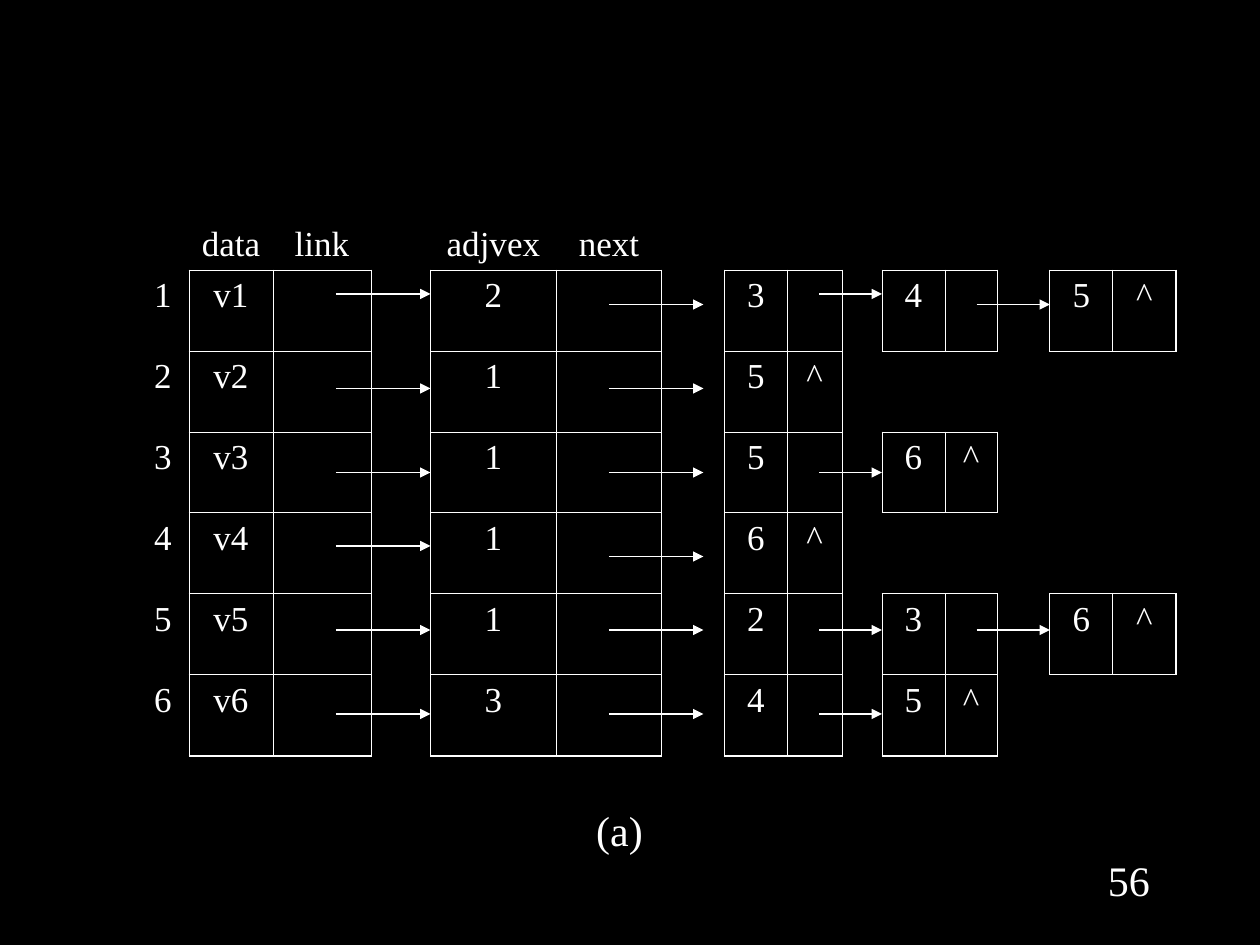
from lxml import etree
from pptx import Presentation
from pptx.dml.color import RGBColor
from pptx.enum.shapes import MSO_CONNECTOR
from pptx.enum.text import MSO_ANCHOR, PP_ALIGN
from pptx.oxml.ns import qn
from pptx.util import Inches, Pt

CENTER, BOTTOM, TOP = PP_ALIGN.CENTER, MSO_ANCHOR.BOTTOM, MSO_ANCHOR.TOP
STRAIGHT = MSO_CONNECTOR.STRAIGHT
THEME = {"back": "000000", "ink": "FFFFFF", "font": "Times New Roman",
         "cell": 20, "label": 24, "thin": 0.45, "thick": 1.08, "arrow": 1}
INK = RGBColor.from_string(THEME["ink"])

prs = Presentation()
prs.slide_width, prs.slide_height = Inches(10), Inches(7.5)
s = prs.slides.add_slide(prs.slide_layouts[6])
s.background.fill.solid()
s.background.fill.fore_color.rgb = RGBColor.from_string(THEME["back"])
UNIT = prs.slide_width / 120  # the slide is a grid of 120 columns by 90 rows


def grid(*values):
    return [round(v * UNIT) for v in values]


def write(tf, text, size):
    p = tf.paragraphs[0]
    p.alignment = CENTER
    r = p.add_run()
    r.text = text
    r.font.name, r.font.size, r.font.color.rgb = THEME["font"], Pt(size), INK


# Adjacency lists: one chain of neighbours per vertex
chains = [[2, 3, 4, 5], [1, 5], [1, 5, 6], [1, 6], [1, 2, 3, 6], [3, 4, 5]]
node_cols = [4, 7, 10, 13]
col_widths = [5, 8, 9.33, 5.67, 12, 10, 6, 6, 5.2, 3.8, 6, 5, 5, 6, 6]
row_height = 54 / 7
texts = {(0, 1): "data", (0, 2): "link", (0, 4): "adjvex", (0, 5): "next"}
boxed = set()
for row, chain in enumerate(chains, start=1):
    texts[row, 0], texts[row, 1] = str(row), f"v{row}"
    boxed |= {(row, 1), (row, 2)}
    for col, vertex in zip(node_cols, chain):
        texts[row, col] = str(vertex)
        boxed |= {(row, col), (row, col + 1)}
    texts[row, node_cols[len(chain) - 1] + 1] = "^"

# Table: an edge is drawn where a boxed cell lies on either side
n_rows, n_cols = len(chains) + 1, len(col_widths)
frame = s.shapes.add_table(n_rows, n_cols, *grid(13, 18, sum(col_widths), 54))
table = frame.table
table.first_row = table.horz_banding = False
for column, width in zip(table.columns, grid(*col_widths)):
    column.width = width
for table_row in table.rows:
    table_row.height = grid(row_height)[0]

sides = {"a:lnL": (0, -1), "a:lnR": (0, 1), "a:lnT": (-1, 0), "a:lnB": (1, 0)}
for row in range(n_rows):
    for col in range(n_cols):
        cell = table.cell(row, col)
        tcPr = cell._tc.get_or_add_tcPr()
        for tag, (down, right) in sides.items():
            near = (row + down, col + right)
            outer = near[0] == n_rows or near[1] == n_cols
            weight = THEME["thick" if outer else "thin"]
            ln = etree.SubElement(tcPr, qn(tag), w=str(Pt(weight)))
            if boxed & {(row, col), near}:
                fill = etree.SubElement(ln, qn("a:solidFill"))
                etree.SubElement(fill, qn("a:srgbClr"), val=THEME["ink"])
            else:
                etree.SubElement(ln, qn("a:noFill"))
        cell.fill.background()
        cell.vertical_anchor = BOTTOM if row == 0 else TOP
        if (row, col) in texts:
            write(cell.text_frame, texts[row, col], THEME["cell"])

# Arrows: one for each link of a chain
arrow_spans = [(32, 41), (58, 67), (78, 84), (93, 100)]
arrow_rows = [28, 37, 45, 52, 60, 68]
lowered = {(0, 1), (0, 3), (3, 1)}  # arrows set one grid row lower
for i, chain in enumerate(chains):
    for j, (start, end) in enumerate(arrow_spans[:len(chain)]):
        y = arrow_rows[i] + ((i, j) in lowered)
        arrow = s.shapes.add_connector(STRAIGHT, *grid(start, y, end, y))
        arrow.line.color.rgb = INK
        arrow.line.width = Pt(THEME["arrow"])
        etree.SubElement(arrow.line._get_or_add_ln(), qn("a:tailEnd"), type="triangle")
        etree.SubElement(arrow._element.spPr, qn("a:effectLst"))

# Caption and page number
for text, box in [("(a)", (40, 76, 38, 6)), ("56", (103, 80.75, 9, 6))]:
    tf = s.shapes.add_textbox(*grid(*box)).text_frame
    tf.word_wrap = True
    write(tf, text, THEME["label"])

prs.save("out.pptx")
